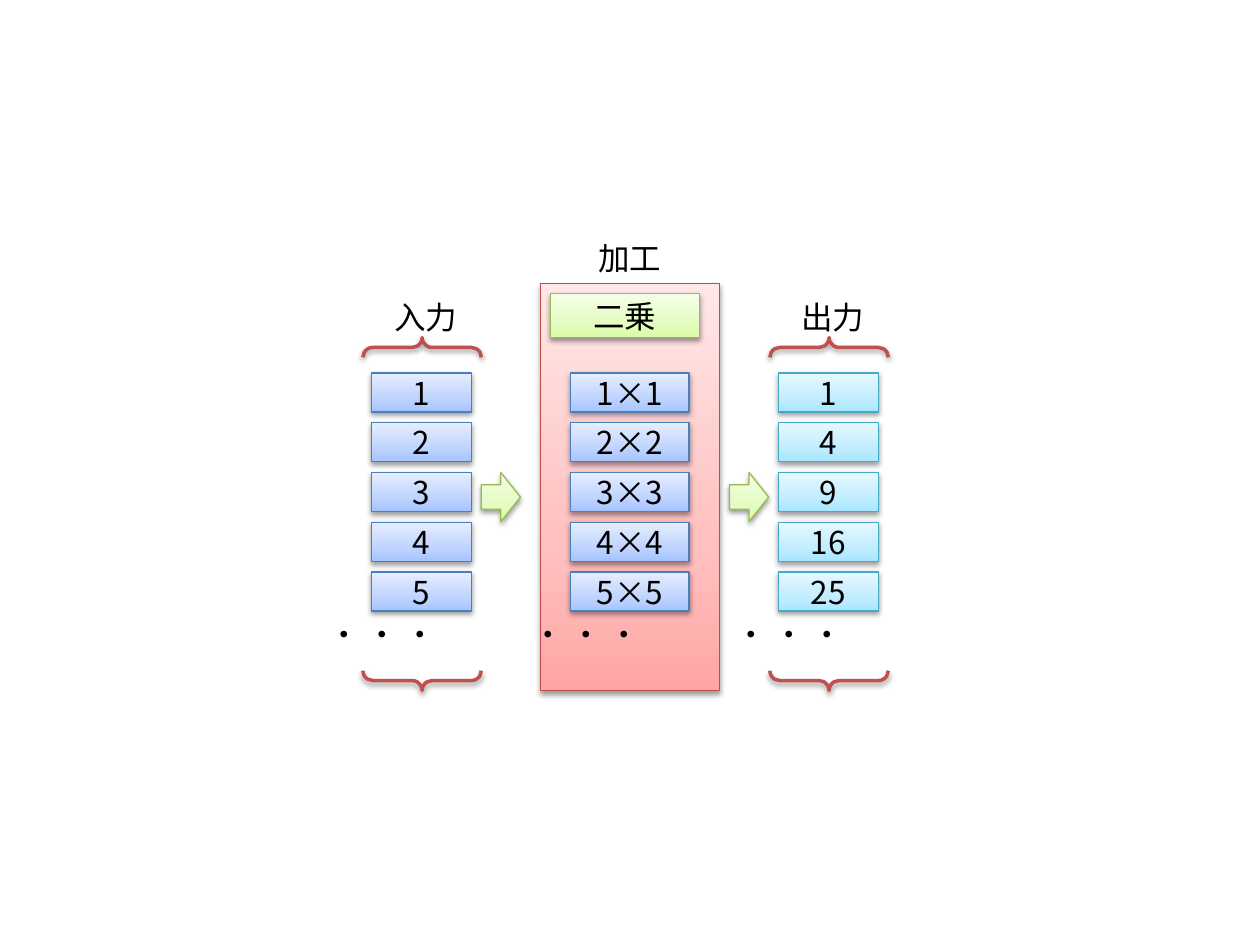
from lxml import etree
from pptx import Presentation
from pptx.dml.color import RGBColor
from pptx.enum.shapes import MSO_SHAPE as SHAPE
from pptx.enum.text import MSO_ANCHOR, MSO_AUTO_SIZE, PP_ALIGN
from pptx.oxml import parse_xml
from pptx.oxml.ns import nsdecls, qn
from pptx.util import Inches, Pt

BLACK = RGBColor(0x00, 0x00, 0x00)
BRACE_RED = RGBColor(0xC0, 0x50, 0x4D)

# Each theme: line colour, then gradient colours from bottom to top
RED = (RGBColor(0xBF, 0x4C, 0x48), ("FFA6A5", "FFC0BF", "FFE7E7"))
BLUE = (RGBColor(0x4B, 0x7E, 0xBC), ("A4C4FF", "BFD4FF", "E6EEFF"))
GREEN = (RGBColor(0x98, 0xB9, 0x55), ("DAFDA7", "E4FCC2", "F5FFE7"))
CYAN = (RGBColor(0x46, 0xAA, 0xC5), ("A7E6FF", "C1EDFF", "E7F8FF"))
STOPS = (0, 35, 100)

# Content: values, left, width, theme, left of the dots
INPUTS = [1, 2, 3, 4, 5]
COLUMNS = [
    ([str(n) for n in INPUTS], 2.95, 0.79, BLUE, 2.51),
    ([f"{n}×{n}" for n in INPUTS], 4.53, 0.94, BLUE, 4.13),
    ([str(n * n) for n in INPUTS], 6.18, 0.79, CYAN, 5.74),
]
LABELS = [("入力", 3.03, 2.32), ("加工", 4.65, 1.85), ("出力", 6.26, 2.32)]
ARROW_LEFTS = [3.82, 5.79]
BRACE_LEFTS = [1.95, 5.18]

FIRST_ROW, LAST_ROW, ROW_HEIGHT = 2.96, 4.54, 0.31
ROW_STEP = (LAST_ROW - FIRST_ROW) / (len(INPUTS) - 1)

prs = Presentation()
prs.slide_width, prs.slide_height = Inches(10), Inches(7.5)
s = prs.slides.add_slide(prs.slide_layouts[6])


def write(sp, text, font_name):
    p = sp.text_frame.paragraphs[0]
    r = p.add_run()
    r.text = text
    for name, value in {"name": font_name, "size": Pt(18)}.items():
        setattr(r.font, name, value)
    r.font.color.rgb = BLACK
    return p


def add_shadow(sp):
    sp.shadow.inherit = False
    effects = sp._element.spPr.find(qn("a:effectLst"))
    effects.append(parse_xml(
        f'<a:outerShdw {nsdecls("a")} blurRad="{Pt(3.1)}" dist="{Pt(1.6)}" '
        'dir="5400000" rotWithShape="0"><a:srgbClr val="000000">'
        '<a:alpha val="38000"/></a:srgbClr></a:outerShdw>'))


def add_block(kind, box, theme, text=None):
    line_color, colors = theme
    sp = s.shapes.add_shape(kind, *map(Inches, box))
    sp.fill.gradient()
    sp.fill.gradient_angle = 90
    stops = sp._element.spPr.find(qn("a:gradFill")).find(qn("a:gsLst"))
    for old in list(stops):
        stops.remove(old)
    for pos, color in zip(STOPS, colors):
        gs = etree.SubElement(stops, qn("a:gs"), pos=str(pos * 1000))
        etree.SubElement(gs, qn("a:srgbClr"), val=color)
    sp.line.color.rgb = line_color
    sp.line.width = Pt(0.75)
    add_shadow(sp)
    if text:
        sp.text_frame.vertical_anchor = MSO_ANCHOR.MIDDLE
        p = write(sp, text, "Noto Sans CJK JP")
        p.alignment = PP_ALIGN.CENTER
        ea = etree.SubElement(p.runs[0].font._element, qn("a:ea"))
        ea.set("typeface", "Noto Sans CJK JP")


def add_text(text, left, top, width, wrap=False):
    tb = s.shapes.add_textbox(*map(Inches, (left, top, width, 0.4)))
    tb.text_frame.word_wrap = wrap
    tb.text_frame.auto_size = MSO_AUTO_SIZE.SHAPE_TO_FIT_TEXT
    return write(tb, text, "Arial")


# Process panel with its heading
add_block(SHAPE.RECTANGLE, (4.29, 2.25, 1.42, 3.23), RED)
add_block(SHAPE.RECTANGLE, (4.37, 2.33, 1.18, 0.35), GREEN, "二乗")

# Columns of values, each followed by widely spaced dots
for values, left, width, theme, dots_left in COLUMNS:
    for i, value in enumerate(values):
        top = FIRST_ROW + i * ROW_STEP
        add_block(SHAPE.RECTANGLE, (left, top, width, ROW_HEIGHT), theme, value)
    dots = add_text("・・・", dots_left, 4.83, 1.2, wrap=True)
    dots.runs[0].font._element.set("spc", "370")

# Braces around input and output
for left in BRACE_LEFTS:
    brace = s.shapes.add_shape(SHAPE.DOUBLE_BRACE, *map(Inches, (left, 3.61, 2.8, 0.94)))
    brace.rotation = 90
    brace.fill.background()
    brace.line.color.rgb = BRACE_RED
    brace.line.width = Pt(2)
    add_shadow(brace)

# Arrows between columns
for left in ARROW_LEFTS:
    add_block(SHAPE.RIGHT_ARROW, (left, 3.75, 0.31, 0.39), GREEN)

# Column labels
for text, left, top in LABELS:
    add_text(text, left, top, 0.71)

prs.save("out.pptx")
